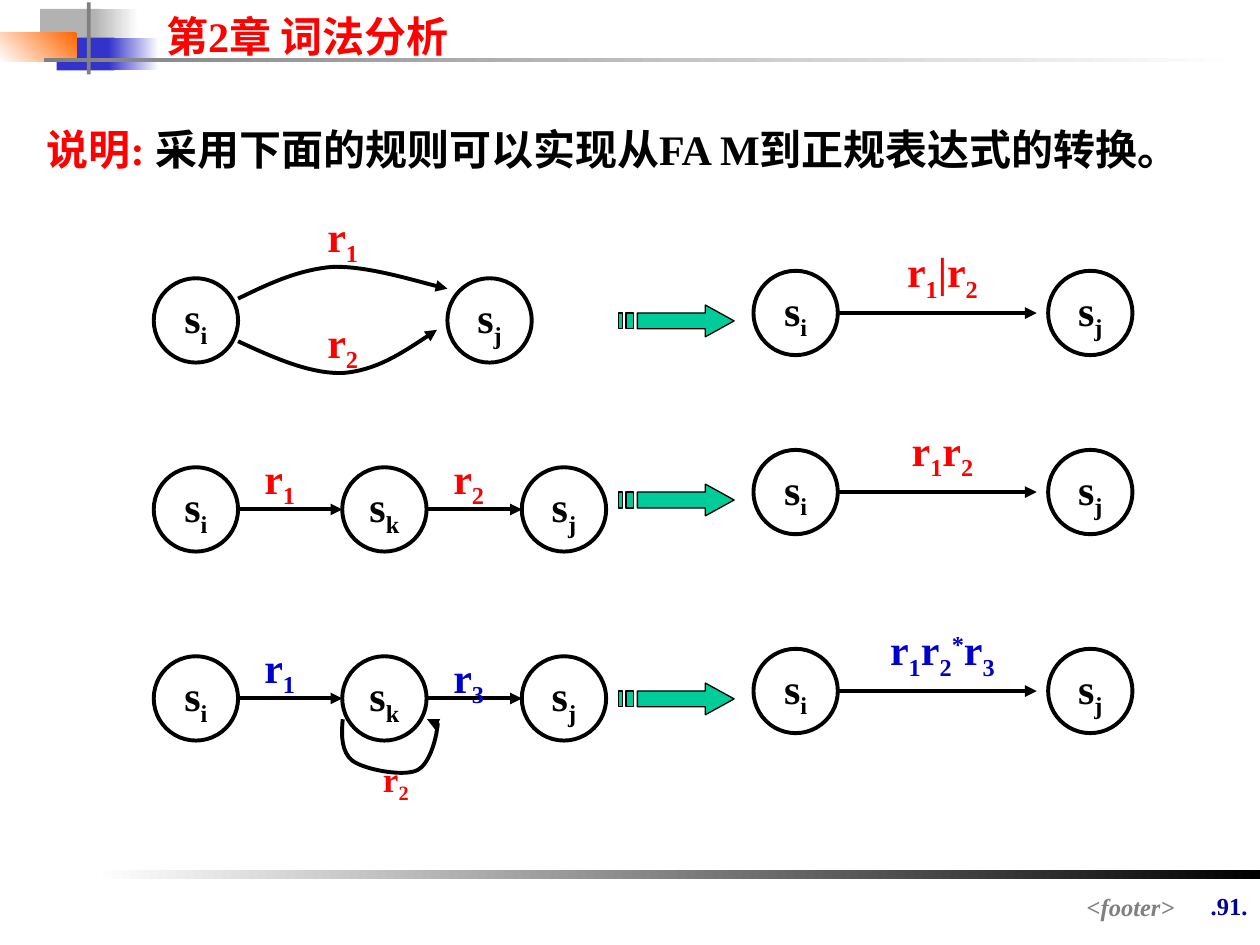
from lxml.etree import SubElement
from pptx import Presentation
from pptx.dml.color import RGBColor
from pptx.enum.shapes import MSO_CONNECTOR as Connector, MSO_SHAPE as Shape
from pptx.enum.text import MSO_ANCHOR as Anchor, PP_ALIGN as Align
from pptx.oxml.ns import qn
from pptx.util import Cm, Pt

rgb = RGBColor.from_string
BLACK, RED, BLUE, GRAY = "000000", "FF0000", "0000CC", "808080"
BASELINES = {"_": "-25000", "^": "30000"}


def write(frame, parts, color, size=24, align=Align.CENTER, before=0):
    paragraph = frame.paragraphs[0]
    paragraph.alignment = align
    paragraph.space_before = Pt(before)
    font = paragraph.font
    font.name, font.size, font.bold = "Times New Roman", Pt(size), True
    font.color.rgb = rgb(color)
    for part in parts:
        run = paragraph.add_run()
        run.text = part.lstrip("_^")
        if part[0] in BASELINES:
            run.font._element.set("baseline", BASELINES[part[0]])
    return paragraph


def outline(shape, width=2.25, arrow=False):
    shape.line.color.rgb = rgb(BLACK)
    shape.line.width = Pt(width)
    if arrow:
        SubElement(shape.line._get_or_add_ln(), qn("a:tailEnd"), type="triangle")
    SubElement(shape._element.spPr, qn("a:effectLst"))


deck = Presentation()
deck.slide_width, deck.slide_height = Cm(25.4), Cm(19.05)
slide = deck.slides.add_slide(deck.slide_layouts[6])
shapes = slide.shapes

bars = [
    (0.81, 0.18, 1.22, 0.66, ["B2B2B2"], 0),
    (1.88, 0.18, 0.91, 0.66, ["FFFFFF", "B2B2B2"], 180),
    (1.14, 0.76, 1.17, 0.66, ["3333CC"], 0),
    (2.18, 0.76, 1.02, 0.66, ["FFFFFF", "3333CC"], 180),
    (0, 0.66, 1.55, 0.58, ["FF6600", "FFFFFF"], 225),
    (1.75, 0.05, 0.08, 1.45, [GRAY], 0),
    (0.89, 1.17, 24.16, 0.08, ["FFFFFF", GRAY], 180),
    (1.9, 17.53, 23.5, 0.2, [BLACK, "FFFFFF"], 180),
]
for left, top, width, height, colors, angle in bars:
    bar = shapes.add_shape(Shape.RECTANGLE, Cm(left), Cm(top), Cm(width), Cm(height))
    bar.shadow.inherit = False
    bar.line.fill.background()
    if len(colors) == 1:
        bar.fill.solid()
        bar.fill.fore_color.rgb = rgb(colors[0])
    else:
        bar.fill.gradient()
        bar.fill.gradient_angle = angle
        for stop, color, position in zip(bar.fill.gradient_stops, colors, (0, 1)):
            stop.color.rgb = rgb(color)
            stop.position = position

left_tops = [5.61, 9.42, 13.23]
right_tops = [5.46, 9.07, 13.08]
states = []
edges = []
for top in left_tops:
    states.append((3.1, top, "i"))
for top in left_tops[1:]:
    states += [(6.9, top, "k"), (10.52, top, "j")]
    edges += [(4.8, 6.9, top), (8.6, 10.52, top)]
states.append((9.02, left_tops[0], "j"))
for top in right_tops:
    states += [(15.19, top, "i"), (21.13, top, "j")]
    edges.append((16.89, 20.9, top))

for left, top, index in states:
    state = shapes.add_shape(Shape.OVAL, Cm(left), Cm(top), Cm(1.7), Cm(1.7))
    state.fill.background()
    outline(state)
    state.text_frame.word_wrap = False
    state.text_frame.vertical_anchor = Anchor.MIDDLE
    write(state.text_frame, ["s", "_" + index], BLACK)

for start, end, top in edges:
    middle = Cm(top + 0.85)
    edge = shapes.add_connector(Connector.STRAIGHT, Cm(start), middle, Cm(end), middle)
    outline(edge, arrow=True)

block_arrow = [
    [(0.38, 0.16), (1.75, 0.16), (1.75, 0), (2.33, 0.32), (1.75, 0.64), (1.75, 0.48), (0.38, 0.48)],
    [(0, 0.16), (0.08, 0.16), (0.08, 0.48), (0, 0.48)],
    [(0.15, 0.16), (0.3, 0.16), (0.3, 0.48), (0.15, 0.48)],
]
for top in right_tops:
    builder = None
    for contour in block_arrow:
        first, *others = [(Cm(12.47 + x), Cm(top + 0.69 + y)) for x, y in contour]
        if builder is None:
            builder = shapes.build_freeform(*first)
        else:
            builder.move_to(*first)
        builder.add_line_segments(others, close=True)
    implication = builder.convert_to_shape()
    implication.fill.solid()
    implication.fill.fore_color.rgb = rgb("00CC99")
    outline(implication, 0.75)

curves = [
    [(4.8, 6.02), (5.38, 5.74), (5.99, 5.44), (6.71, 5.38), (7.39, 5.36), (8.64, 5.74), (9.02, 5.82)],
    [(4.8, 6.88), (5.51, 7.21), (6.25, 7.54), (6.91, 7.52), (7.57, 7.47), (8.2, 7.06), (8.81, 6.65)],
    [(6.91, 14.5), (6.88, 14.83), (6.88, 15.16), (7.11, 15.34), (7.37, 15.52), (8.1, 15.65), (8.38, 15.54),
     (8.66, 15.44), (8.79, 14.88), (8.81, 14.71), (8.84, 14.53), (8.74, 14.5), (8.61, 14.5)],
]
for points in curves:
    first, *controls = [(Cm(x), Cm(y)) for x, y in points]
    builder = shapes.build_freeform(*first)
    builder.add_line_segments(controls, close=False)
    curve = builder.convert_to_shape()
    curve.fill.background()
    outline(curve, arrow=True)
    geometry = curve._element.find(".//" + qn("a:path"))
    segments = geometry.findall(qn("a:lnTo"))
    for start in range(0, len(segments), 3):
        bezier = SubElement(geometry, qn("a:cubicBezTo"))
        for segment in segments[start:start + 3]:
            bezier.append(segment[0])
            geometry.remove(segment)

labels = [
    ("r _1", 6.91, 4.11, RED, 24),
    ("r _2", 6.91, 6.25, RED, 24),
    ("r _1 |r _2", 19, 4.83, RED, 24),
    ("r _1", 5.64, 8.99, RED, 24),
    ("r _2", 9.45, 8.99, RED, 24),
    ("r _1 r _2", 19, 8.43, RED, 24),
    ("r _1", 5.64, 12.8, BLUE, 24),
    ("r _3", 9.45, 13, BLUE, 24),
    ("r _2", 7.98, 15.14, RED, 20),
    ("r _1 r _2 ^* r _3", 19, 12.45, BLUE, 24),
]
for formula, center, top, color, size in labels:
    width = 3.63 if "^" in formula else 2.54
    label = shapes.add_textbox(Cm(center - width / 2), Cm(top), Cm(width), Cm(1.42))
    label.text_frame.word_wrap = True
    write(label.text_frame, formula.split(), color, size, before=size * 0.625)

texts = [
    ("第2章 词法分析", 3.1, 0.08, 8, 1.27, RED, 24, Align.LEFT),
    (".91.", 23.7, 17.83, 1.7, 1.45, "000099", 14, Align.RIGHT),
    ("<footer>", 6.71, 17.86, 17.22, 0.66, GRAY, 14, Align.RIGHT),
    ("说明: ", 0.69, 2.31, 24, 1.32, RED, 24, Align.LEFT),
]
for text, left, top, width, height, color, size, align in texts:
    box = shapes.add_textbox(Cm(left), Cm(top), Cm(width), Cm(height))
    box.text_frame.word_wrap = True
    paragraph = write(box.text_frame, [text], color, size, align)
    if text == "<footer>":
        paragraph.font.italic = True
    if text == "说明: ":
        paragraph.line_spacing = 1.05
        paragraph.space_before = Pt(15)
        rule = paragraph.add_run()
        rule.text = "采用下面的规则可以实现从FA M到正规表达式的转换。"
        rule.font.color.rgb = rgb(BLACK)

deck.save("out.pptx")
